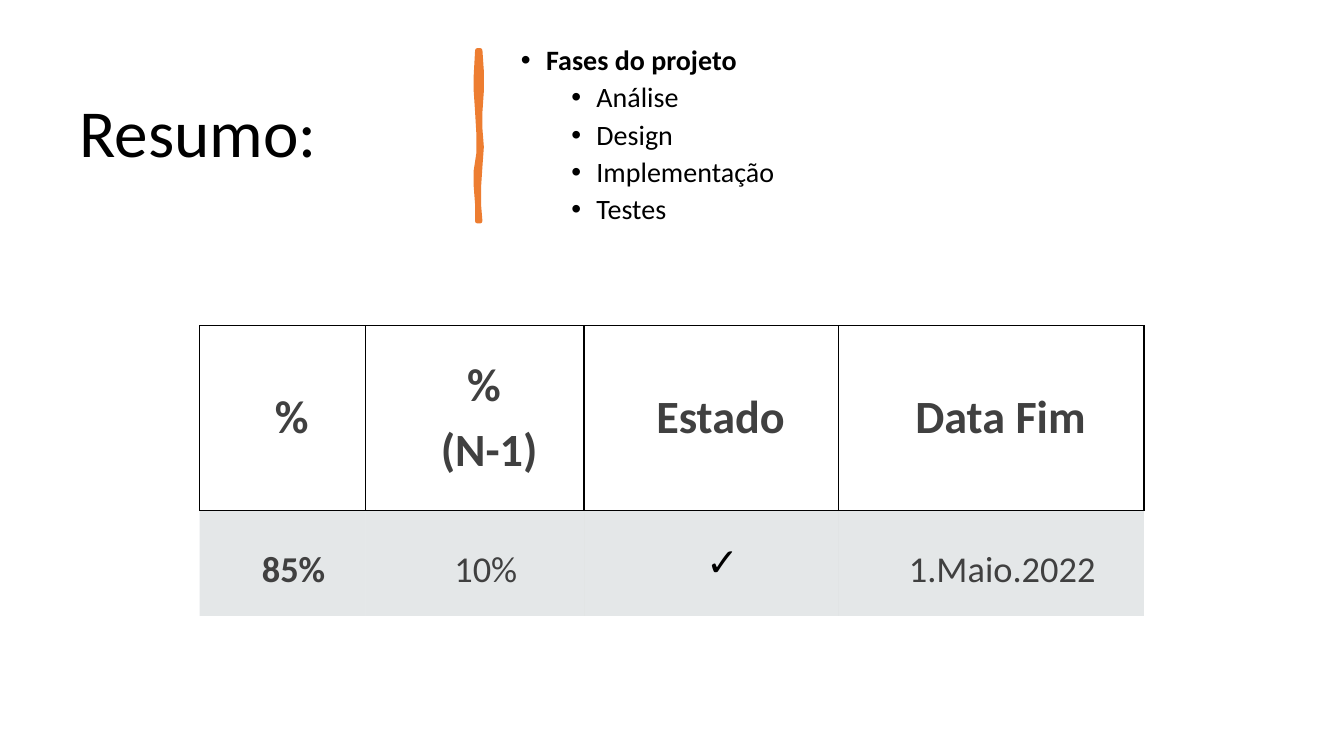
from lxml.etree import SubElement
from pptx import Presentation
from pptx.dml.color import RGBColor
from pptx.enum.text import MSO_ANCHOR, PP_ALIGN
from pptx.oxml.ns import qn
from pptx.util import Pt

HUES = {"ink": "000000", "gray": "404040", "bar": "ED7D31", "band": "B4BCBE"}
FONT = "Calibri"


def style(par, size, hue="ink", bold=False):
    """Format every run of a paragraph."""
    for run in par.runs:
        font = run.font
        font.name, font.size, font.bold = FONT, Pt(size), bold
        font.color.rgb = RGBColor.from_string(HUES[hue])


def frame(slide, box, text):
    """Add a wrapped text box, centred vertically, and return its frame."""
    body = slide.shapes.add_textbox(*map(Pt, box)).text_frame
    body.word_wrap = True
    body.vertical_anchor = MSO_ANCHOR.MIDDLE
    body.text = text
    for par in body.paragraphs:
        par.line_spacing = 0.9
    return body


def title(slide, box):
    """Place the slide title."""
    style(frame(slide, box, "Resumo:").paragraphs[0], 48)


def stroke(slide, box):
    """Draw the uneven upright brush stroke."""
    left, top, wide, high = box
    right = [(0.65, 0), (0.95, 0.12), (0.9, 0.24), (0.7, 0.36), (0.65, 0.46),
             (0.8, 0.56), (0.65, 0.68), (0.5, 0.8), (0.6, 0.9), (0.65, 1)]
    back = [(0.3, 1), (0.3, 0.9), (0.15, 0.79), (0.2, 0.7), (0.4, 0.6),
            (0.45, 0.5), (0.3, 0.36), (0.1, 0.24), (0.1, 0.15), (0.3, 0)]
    dots = [(left + x * wide, top + y * high) for x, y in right + back]
    pen = slide.shapes.build_freeform(*dots[0], scale=Pt(1))
    pen.add_line_segments(dots[1:])
    shape = pen.convert_to_shape()
    shape.shadow.inherit = False
    shape.fill.solid()
    shape.fill.fore_color.rgb = RGBColor.from_string(HUES["bar"])
    shape.line.color.rgb = RGBColor.from_string(HUES["bar"])
    shape.line.width = Pt(3.25)


def phases(slide, box):
    """Place the bulleted list of project phases."""
    names = ["Fases do projeto", "Análise", "Design", "Implementação", "Testes"]
    for i, par in enumerate(frame(slide, box, "\n".join(names)).paragraphs):
        par.level = min(i, 1)
        par.space_before = Pt(5 if i else 10)
        style(par, 20, bold=i == 0)
        prop = par._p.get_or_add_pPr()
        prop.set("marL", str(Pt(54 if i else 18)))
        prop.set("indent", str(Pt(-18)))
        SubElement(prop, qn("a:buFont"), typeface="Arial")
        SubElement(prop, qn("a:buChar"), char="•")


def edge(cell, shown):
    """Rule the shown sides of a cell and clear the others."""
    prop = cell._tc.get_or_add_tcPr()
    for i, side in enumerate("LRTB"):
        line = SubElement(prop, qn("a:ln" + side), w=str(Pt(1)))
        if side in shown:
            fill = SubElement(line, qn("a:solidFill"))
            SubElement(fill, qn("a:srgbClr"), val=HUES["ink"])
        else:
            SubElement(line, qn("a:noFill"))
        prop.insert(i, line)


def tint(cell):
    """Give a cell the translucent band colour."""
    cell.fill.solid()
    cell.fill.fore_color.rgb = RGBColor.from_string(HUES["band"])
    hue = cell._tc.tcPr.find(".//" + qn("a:srgbClr"))
    SubElement(hue, qn("a:alpha"), val="35000")


def status(slide, box):
    """Build the status table."""
    rows = [["%", "%\n (N-1)", "Estado", "Data Fim"],
            ["85%", "10%", "✓", "1.Maio.2022"]]
    grid = slide.shapes.add_table(2, 4, *map(Pt, box)).table
    grid.first_row = grid.horz_banding = False
    for col, wide in zip(grid.columns, (118.6, 156, 182, 218)):
        col.width = Pt(wide)
    for row, high in zip(grid.rows, (132, 75.4)):
        row.height = Pt(high)
    for r, row in enumerate(rows):
        for c, text in enumerate(row):
            cell = grid.cell(r, c)
            cell.text = text
            cell.vertical_anchor = MSO_ANCHOR.MIDDLE
            cell.margin_left = Pt(33)
            pad = Pt(17.3 if r else 20)
            cell.margin_right = cell.margin_top = cell.margin_bottom = pad
            tick = text == "✓"
            for par in cell.text_frame.paragraphs:
                par.alignment = PP_ALIGN.CENTER
                if r == 0:
                    par.space_before = Pt(6.6)
                    style(par, 33, "gray", True)
                elif tick:
                    style(par, 28, "ink", True)
                else:
                    par.line_spacing = 1.3
                    style(par, 26, "gray", c == 0)
            if r:
                tint(cell)
            else:
                cell.fill.background()
            edge(cell, "T" if r else "LRTB")


def main():
    """Build and save the deck."""
    deck = Presentation()
    deck.slide_width, deck.slide_height = Pt(960), Pt(540)
    slide = deck.slides.add_slide(deck.slide_layouts[6])
    title(slide, (49.7, 39.6, 269.3, 115.2))
    stroke(slide, (339.5, 36, 5, 122.4))
    phases(slide, (365, 20.9, 542.9, 152.6))
    status(slide, (142.6, 232.6, 674.6, 207.4))
    deck.save("out.pptx")


main()
